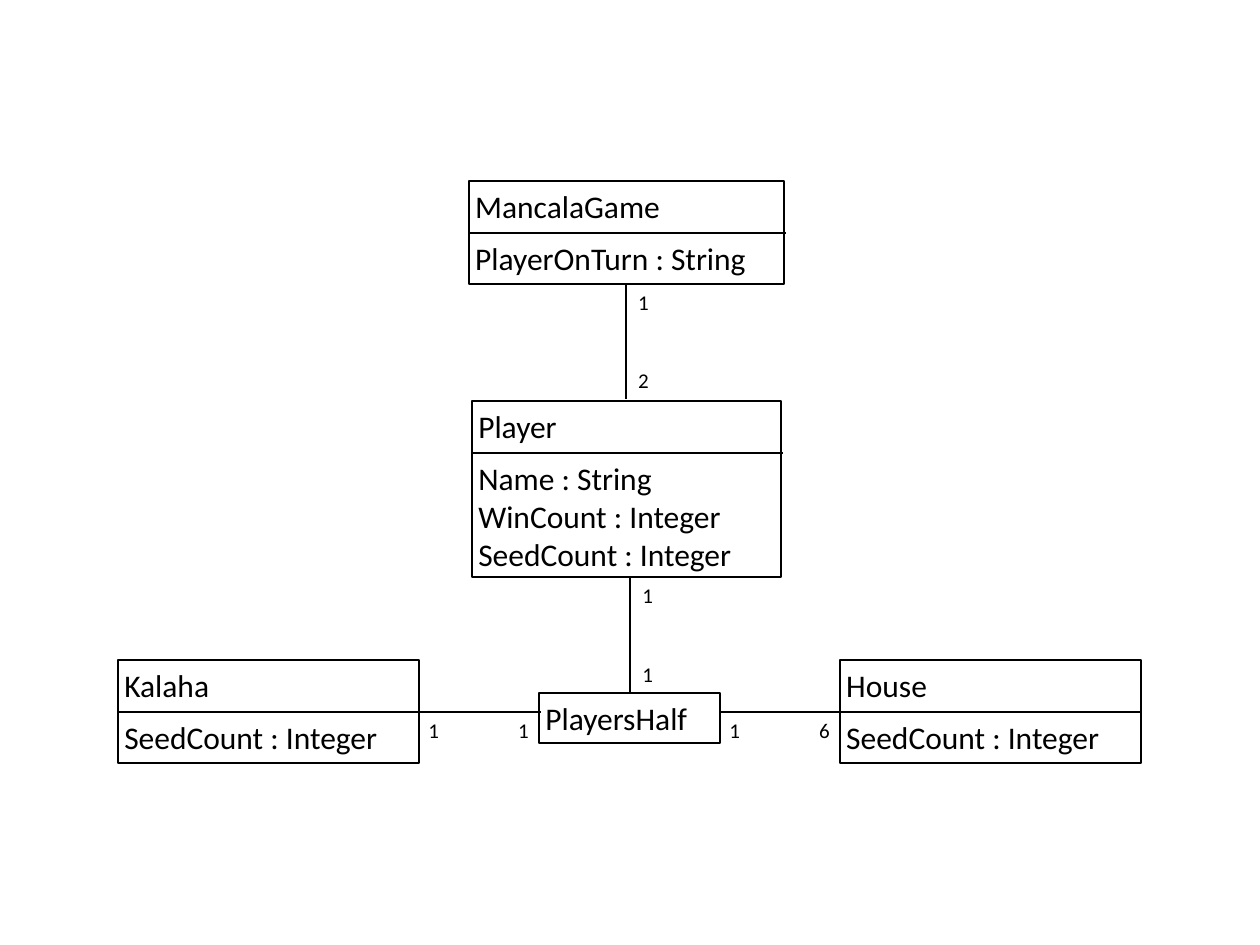
from dataclasses import dataclass
from lxml import etree
from pptx import Presentation, util as u
from pptx.dml.color import RGBColor
from pptx.enum import shapes, text
from pptx.oxml.ns import qn

PX = u.Inches(1) / 126


@dataclass(frozen=True)
class Theme:
    ink = RGBColor(0, 0, 0)
    font = "Calibri"
    class_size = u.Pt(18)
    label_size = u.Pt(12)
    line = u.Pt(0.75)
    attribute_gap = u.Pt(8)
    inset = u.Inches(0.05)


# Classes: name, attributes, (left, top, width, height), divider overhang
CLASSES = [
    ("MancalaGame", ["PlayerOnTurn : String"], (469, 181, 315, 103), 2),
    ("Player", ["Name : String", "WinCount : Integer", "SeedCount : Integer"],
     (472, 401, 309, 176), 2),
    ("PlayersHalf", [], (539, 693, 181, 50), 0),
    ("Kalaha", ["SeedCount : Integer"], (118, 660, 301, 103), 0),
    ("House", ["SeedCount : Integer"], (840, 660, 301, 103), 0),
]
DIVIDER_DROP = 52

# Associations: start, end, multiplicity at each end
ASSOCIATIONS = [
    ((626, 285), (626, 399), ("1", "2")),
    ((630, 578), (630, 693), ("1", "1")),
    ((420, 712), (541, 712), ("1", "1")),
    ((721, 712), (842, 712), ("1", "6")),
]
LABEL_SIZE = (25, 37)


def emu(*lengths):
    return [round(length * PX) for length in lengths]


def write(shape, lines, size, wrap):
    frame = shape.text_frame
    frame.word_wrap = wrap
    frame.vertical_anchor = text.MSO_ANCHOR.TOP
    frame.margin_left = frame.margin_right = Theme.inset
    frame.margin_top = frame.margin_bottom = Theme.inset
    for i, line in enumerate(lines):
        para = frame.paragraphs[0] if i == 0 else frame.add_paragraph()
        para.text = line
        para.alignment = text.PP_ALIGN.LEFT
        para.font.name, para.font.size = Theme.font, size
        para.font.color.rgb = Theme.ink
        if i == 1:
            para.space_before = Theme.attribute_gap


def add_line(page, start, end):
    line = page.shapes.add_connector(
        shapes.MSO_CONNECTOR.STRAIGHT, *emu(*start, *end))
    line.line.color.rgb = Theme.ink
    line.line.width = Theme.line
    etree.SubElement(line.element.spPr, qn("a:effectLst"))


def add_class(page, name, attributes, bounds, overhang):
    box = page.shapes.add_shape(shapes.MSO_SHAPE.RECTANGLE, *emu(*bounds))
    box.shadow.inherit = False
    box.fill.background()
    box.line.color.rgb = Theme.ink
    box.line.width = Theme.line
    write(box, [name, *attributes], Theme.class_size, True)
    if attributes:
        left, top, width, _ = bounds
        y = top + DIVIDER_DROP
        add_line(page, (left, y), (left + width + overhang, y))


def add_association(page, start, end, counts):
    add_line(page, start, end)
    (x1, y1), (x2, y2) = start, end
    if x1 == x2:  # vertical: labels to the right
        corners = [(x1 + 6, y1 - 2), (x2 + 6, y2 - 38)]
    else:  # horizontal: labels below
        corners = [(x1 + 2, y1 - 1), (x2 - 29, y2 - 1)]
    for corner, count in zip(corners, counts):
        label = page.shapes.add_textbox(*emu(*corner, *LABEL_SIZE))
        write(label, [count], Theme.label_size, False)


def main():
    deck = Presentation()
    deck.slide_width, deck.slide_height = emu(1260, 945)
    page = deck.slides.add_slide(deck.slide_layouts[6])
    for entry in CLASSES:
        add_class(page, *entry)
    for entry in ASSOCIATIONS:
        add_association(page, *entry)
    deck.save("out.pptx")


if __name__ == "__main__":
    main()
